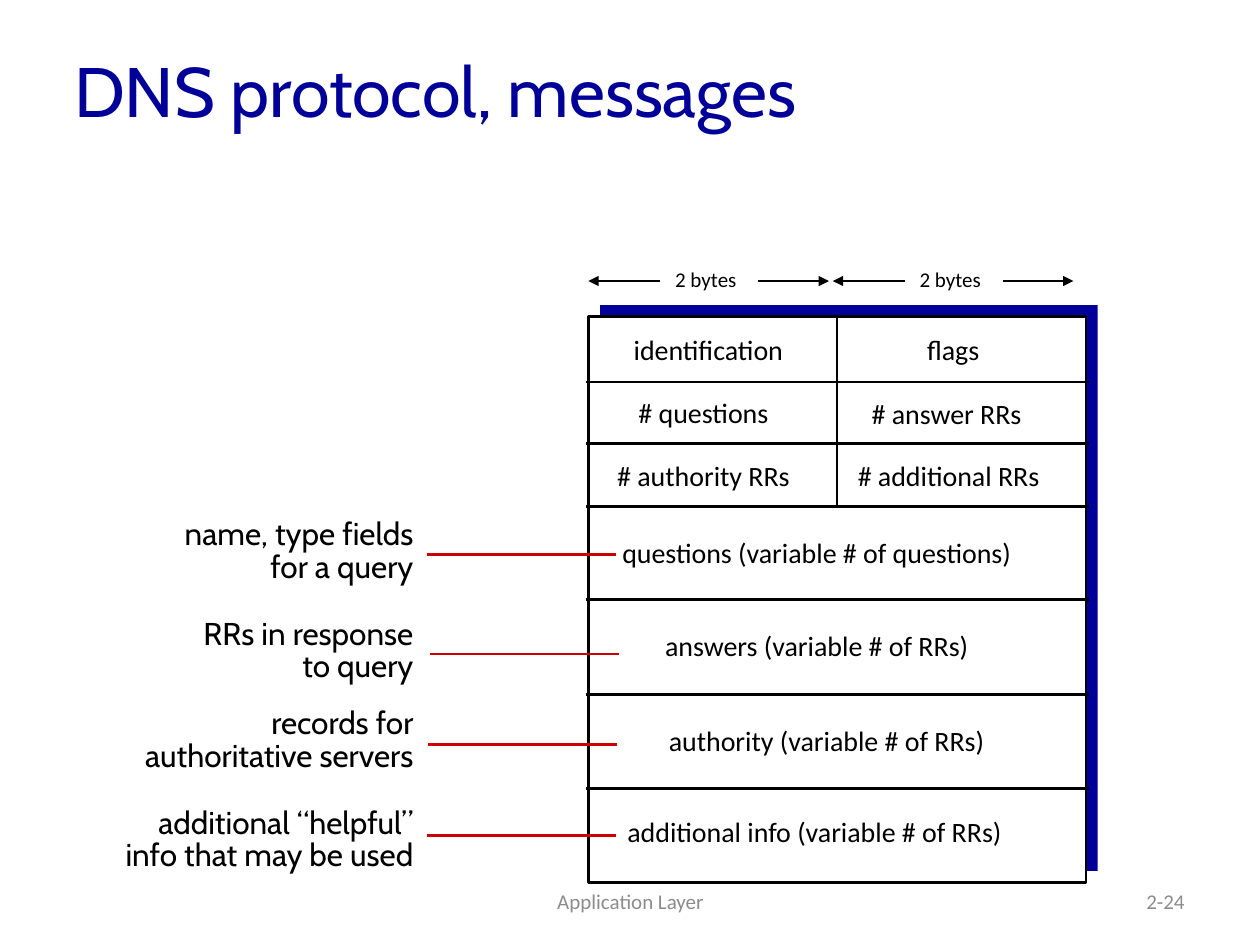
"""Build a slide showing the layout of a DNS protocol message."""
from dataclasses import dataclass

import lxml.etree
import pptx
import pptx.dml.color
import pptx.enum.shapes
import pptx.enum.text
import pptx.oxml.ns
import pptx.slide
import pptx.util

Pt = pptx.util.Pt
Color = pptx.dml.color.RGBColor
Align = pptx.enum.text.PP_ALIGN
Anchor = pptx.enum.text.MSO_ANCHOR
qn = pptx.oxml.ns.qn

NAVY = Color(0x00, 0x00, 0x99)
RED = Color(0xCC, 0x00, 0x00)
BLACK = Color(0x00, 0x00, 0x00)
WHITE = Color(0xFF, 0xFF, 0xFF)
GRAY = Color(0x8C, 0x8C, 0x8C)

FRAME_LEFT, FRAME_TOP, FRAME_WIDTH, FRAME_HEIGHT = 336.2, 180.9, 284.4, 323.3
DIVIDER_X = 478.4
RULE_LEFT, RULE_RIGHT = 334.8, 622.1
RULE_TOPS = (218.2, 253.4, 289.4, 342.7, 396.7, 450.7)
ARROW_Y = 160.6
ARROW_PITCH = 139.7


@dataclass(frozen=True)
class Field:
    """A label in the message layout."""
    text: str
    left: float
    top: float
    width: float


@dataclass(frozen=True)
class Note:
    """A two-line explanation with its pointer line."""
    lines: tuple[str, str]
    top: float
    pointer_left: float
    pointer_y: float


FIELDS = (
    Field("identification", 355, 186.5, 103),
    Field("flags", 522.7, 186.5, 48.2),
    Field("# questions", 357.8, 222.5, 96.5),
    Field("# answer RRs", 491, 223.2, 115.2),
    Field("# authority RRs", 345.6, 258.5, 124.6),
    Field("# additional RRs", 483.1, 258.5, 131.8),
    Field("questions (variable # of questions)", 348.5, 302.4, 258.5),
    Field("answers (variable # of RRs)", 373, 355.7, 211.7),
    Field("authority (variable # of RRs)", 375.1, 409.7, 213.8),
    Field("additional info (variable # of RRs)", 351.4, 462.2, 250.6),
)
NOTES = (
    Note(("name, type fields", "for a query"), 291.6, 244.1, 316.8),
    Note(("RRs in response", "to query"), 348.5, 245.5, 373.7),
    Note(("records for", "authoritative servers"), 399.6, 244.8, 425.5),
    Note(("additional “helpful”", "info that may be used"), 456.5, 244.1, 477.4),
)


def add_text(page: pptx.slide.Slide, *lines: str, left: float, top: float, width: float,
             height: float, size: float, font: str = "Calibri", color: Color = BLACK,
             align: Align = Align.LEFT, anchor: Anchor = Anchor.TOP,
             spacing: float = 1.0, wrap: bool = True) -> None:
    """Add a text box with one paragraph per line."""
    box = page.shapes.add_textbox(Pt(left), Pt(top), Pt(width), Pt(height))
    frame = box.text_frame
    frame.word_wrap = wrap
    frame.vertical_anchor = anchor
    for index, line in enumerate(lines):
        para = frame.add_paragraph() if index else frame.paragraphs[0]
        para.alignment = align
        para.line_spacing = spacing
        span = para.add_run()
        span.text = line
        span.font.name = font
        span.font.size = Pt(size)
        span.font.color.rgb = color


def add_line(page: pptx.slide.Slide, x1: float, y1: float, x2: float, y2: float,
             color: Color = BLACK, weight: float = 1.5, arrow: bool = False) -> None:
    """Add a straight line, with an arrowhead at its end if asked."""
    line = page.shapes.add_connector(pptx.enum.shapes.MSO_CONNECTOR.STRAIGHT,
                                     Pt(x1), Pt(y1), Pt(x2), Pt(y2))
    line.line.color.rgb = color
    line.line.width = Pt(weight)
    properties = line._element.spPr
    if arrow:
        lxml.etree.SubElement(properties.find(qn("a:ln")), qn("a:tailEnd"), type="triangle")
    lxml.etree.SubElement(properties, qn("a:effectLst"))


def add_panel(page: pptx.slide.Slide, left: float, top: float, fill: Color,
              outlined: bool = False) -> None:
    """Add a rectangle of the size of the message frame."""
    panel = page.shapes.add_shape(pptx.enum.shapes.MSO_SHAPE.RECTANGLE, Pt(left), Pt(top),
                                  Pt(FRAME_WIDTH), Pt(FRAME_HEIGHT))
    panel.shadow.inherit = False
    panel.fill.solid()
    panel.fill.fore_color.rgb = fill
    if outlined:
        panel.line.color.rgb = BLACK
        panel.line.width = Pt(1.5)
    else:
        panel.line.fill.background()


def add_message(page: pptx.slide.Slide) -> None:
    """Draw the message frame, its rules, fields and byte widths."""
    add_panel(page, FRAME_LEFT + 6.7, FRAME_TOP - 6.5, NAVY)
    add_panel(page, FRAME_LEFT, FRAME_TOP, WHITE, outlined=True)
    for y in RULE_TOPS:
        add_line(page, RULE_LEFT, y, RULE_RIGHT, y)
    add_line(page, DIVIDER_X, FRAME_TOP, DIVIDER_X, RULE_TOPS[2])
    for field in FIELDS:
        add_text(page, field.text, left=field.left, top=field.top, width=field.width,
                 height=26.6, size=16, wrap=False)
    for column in range(2):
        left = FRAME_LEFT + column * ARROW_PITCH
        add_text(page, "2 bytes", left=left + 42.5, top=149, width=53.3, height=21.6,
                 size=12, wrap=False)
        add_line(page, left + 97.2, ARROW_Y, left + 137.5, ARROW_Y, weight=0.75, arrow=True)
        add_line(page, left + 41, ARROW_Y, left, ARROW_Y, weight=0.75, arrow=True)


def add_note(page: pptx.slide.Slide, note: Note) -> None:
    """Draw an explanation and the line to its field."""
    add_text(page, *note.lines, left=50, top=note.top, width=193.3, height=48.2, size=18,
             font="Cabin", align=Align.RIGHT, anchor=Anchor.MIDDLE, spacing=0.85)
    add_line(page, note.pointer_left + 108, note.pointer_y,
             note.pointer_left, note.pointer_y, color=RED)


def main() -> None:
    """Build and save the deck."""
    deck = pptx.Presentation()
    deck.slide_width, deck.slide_height = Pt(720), Pt(540)
    page = deck.slides.add_slide(deck.slide_layouts[6])
    add_text(page, "DNS protocol, messages", left=35.3, top=17.3, width=612, height=67.7,
             size=40, font="Cabin", color=NAVY, anchor=Anchor.MIDDLE)
    add_message(page)
    for note in NOTES:
        add_note(page, note)
    add_text(page, "Application Layer", left=246.2, top=500.4, width=228.2, height=28.8,
             size=12, color=GRAY, align=Align.CENTER, anchor=Anchor.MIDDLE)
    add_text(page, "2-24", left=516.2, top=500.4, width=167.8, height=28.8,
             size=12, color=GRAY, align=Align.RIGHT, anchor=Anchor.MIDDLE)
    deck.save("out.pptx")


if __name__ == "__main__":
    main()
